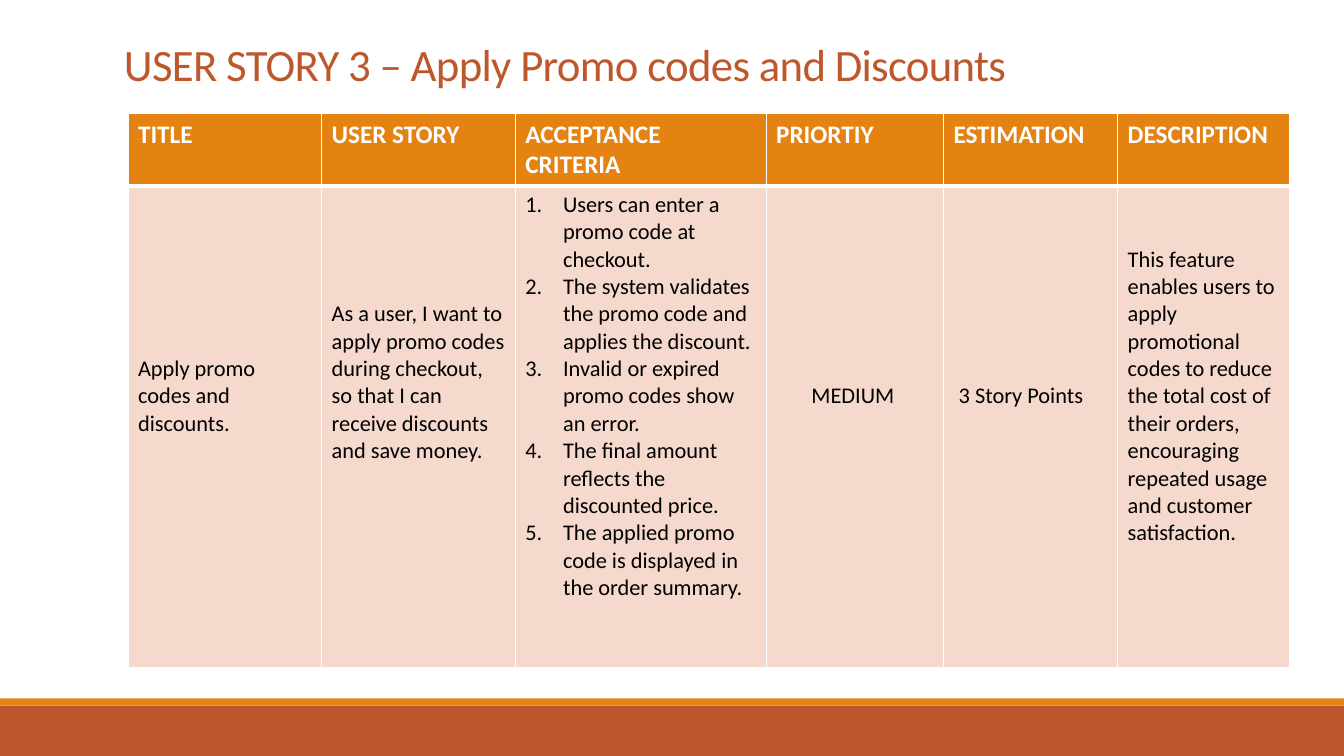
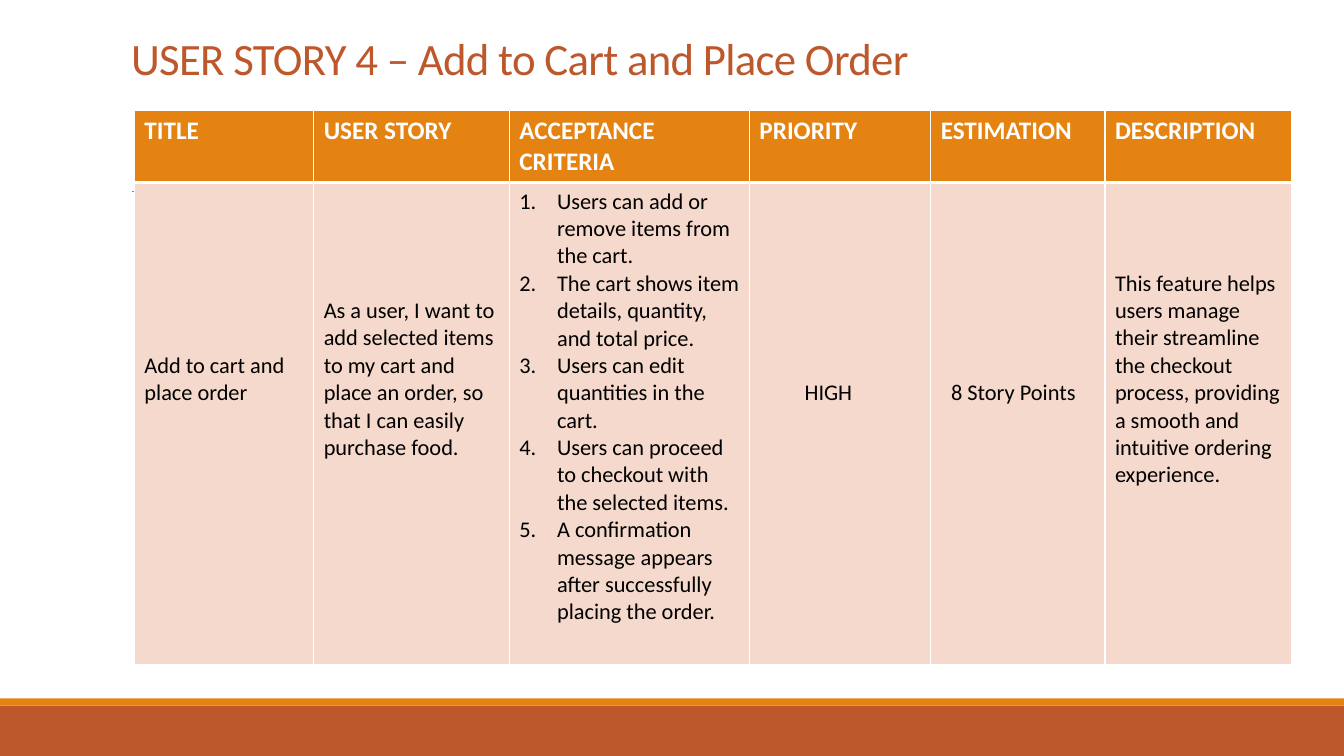
from dataclasses import dataclass

from lxml import etree
from pptx import Presentation
from pptx import util as u
from pptx.dml.color import RGBColor
from pptx.enum import shapes, text
from pptx.oxml import ns


@dataclass(frozen=True)
class Theme:
    font: str = "Calibri"
    rust: str = "BD582C"
    orange: str = "E48312"
    blush: str = "F5D9CC"
    rule: str = "808080"
    white: str = "FFFFFF"
    black: str = "000000"
    title_size: int = 32
    header_size: int = 18
    body_size: int = 16


@dataclass(frozen=True)
class Cell:
    """Body cell: its text, lines left free above it, and extra indent in cm."""
    text: str
    lines_above: int = 0
    indent: float = 0
    numbered: bool = False


@dataclass(frozen=True)
class Story:
    title: str
    title_box: tuple  # left, top, width, height in cm
    table_at: tuple  # left, top in cm
    columns: tuple  # widths in cm
    headers: tuple
    cells: tuple


THEME = Theme()
SLIDE_WIDTH, SLIDE_HEIGHT = 33.87, 19.05
ROW_HEIGHTS = (1.8, 12.14)
CELL_MARGIN_X, CELL_MARGIN_Y = 0.25, 0.13
BODY_LINE = 0.69
LIST_INDENT = 0.95

STORIES = (
    Story(
        title="USER STORY 3 – Apply Promo codes and Discounts",
        title_box=(2.87, 0.97, 28.12, 1.45),
        table_at=(3.23, 2.87),
        columns=(4.88, 4.88, 6.32, 4.47, 4.39, 4.34),
        headers=("TITLE", "USER STORY", "ACCEPTANCE CRITERIA",
                 "PRIORTIY", "ESTIMATION", "DESCRIPTION"),
        cells=(
            Cell("Apply promo codes and discounts.", 6),
            Cell("As a user, I want to apply promo codes during checkout, "
                 "so that I can receive discounts and save money.", 4),
            Cell("Users can enter a promo code at checkout.\n"
                 "The system validates the promo code and applies the discount.\n"
                 "Invalid or expired promo codes show an error.\n"
                 "The final amount reflects the discounted price.\n"
                 "The applied promo code is displayed in the order summary.",
                 numbered=True),
            Cell("MEDIUM", 7, indent=0.89),
            Cell("3 Story Points", 7, indent=0.13),
            Cell("This feature enables users to apply promotional codes to reduce "
                 "the total cost of their orders, encouraging repeated usage and "
                 "customer satisfaction.", 2),
        ),
    ),
    Story(
        title="USER STORY 4 – Add to Cart and Place Order",
        title_box=(3.05, 0.79, 27.94, 1.47),
        table_at=(3.39, 2.79),
        columns=(4.52, 4.93, 6.05, 4.57, 4.39, 4.7),
        headers=("TITLE", "USER STORY", "ACCEPTANCE CRITERIA",
                 "PRIORITY", "ESTIMATION", "DESCRIPTION"),
        cells=(
            Cell("Add to cart and place order", 6),
            Cell("As a user, I want to add selected items to my cart and place "
                 "an order, so that I can easily purchase food.", 4),
            Cell("Users can add or remove items from the cart.\n"
                 "The cart shows item details, quantity, and total price.\n"
                 "Users can edit quantities in the cart.\n"
                 "Users can proceed to checkout with the selected items.\n"
                 "A confirmation message appears after successfully placing the order.",
                 numbered=True),
            Cell("HIGH", 7, indent=1.14),
            Cell("8 Story Points", 7, indent=0.26),
            Cell("This feature helps users manage their streamline the checkout "
                 "process, providing a smooth and intuitive ordering experience.", 3),
        ),
    ),
)


def color(value):
    return RGBColor.from_string(value)


def format_runs(paragraph, size, value, bold=False):
    for run in paragraph.runs:
        run.font.name = THEME.font
        run.font.size = u.Pt(size)
        run.font.bold = bold
        run.font.color.rgb = color(value)


def add_band(slide, top, height, fill):
    band = slide.shapes.add_shape(
        shapes.MSO_SHAPE.RECTANGLE, 0, u.Cm(top), u.Cm(SLIDE_WIDTH), u.Cm(height))
    band.shadow.inherit = False
    band.fill.solid()
    band.fill.fore_color.rgb = color(fill)
    band.line.fill.background()
    return band


def add_rule(slide, left, right, top):
    rule = slide.shapes.add_connector(
        shapes.MSO_CONNECTOR.STRAIGHT, u.Cm(left), u.Cm(top), u.Cm(right), u.Cm(top))
    rule.line.color.rgb = color(THEME.rule)
    rule.line.width = u.Pt(0.5)
    etree.SubElement(rule.element.spPr, ns.qn("a:effectLst"))
    return rule


def furnish_layout(layout, slide):
    """Give the layout the bands and rule, drawn on a slide and moved over."""
    for placeholder in list(layout.placeholders):
        if placeholder.placeholder_format.idx != 0:
            layout.shapes.element.remove(placeholder.element)
    parts = (
        add_band(slide, 17.78, 1.27, THEME.rust),
        add_band(slide, 17.6, 0.18, THEME.orange),
        add_rule(slide, 3.33, 31.01, 4.83),
    )
    for part in parts:
        layout.shapes.element.append(part.element)


def place_title(slide, title_text, box):
    title = slide.shapes.title
    title.left, title.top, title.width, title.height = map(u.Cm, box)
    frame = title.text_frame
    frame.text = title_text
    frame.word_wrap = True
    frame.auto_size = text.MSO_AUTO_SIZE.NONE
    frame.vertical_anchor = text.MSO_ANCHOR.BOTTOM
    paragraph = frame.paragraphs[0]
    paragraph.alignment = text.PP_ALIGN.LEFT
    paragraph.line_spacing = 0.85
    format_runs(paragraph, THEME.title_size, THEME.rust)
    for run in paragraph.runs:
        run.font._element.set("spc", "-50")


def set_borders(cell, **widths):
    """Draw white cell borders; widths in points by side (L, R, T, B)."""
    properties = cell._tc.get_or_add_tcPr()
    for side in "LRTB":
        line = etree.SubElement(properties, ns.qn(f"a:ln{side}"),
                                w=str(u.Pt(widths.get(side, 1))))
        fill = etree.SubElement(line, ns.qn("a:solidFill"))
        etree.SubElement(fill, ns.qn("a:srgbClr"), val=THEME.white)


def number_paragraph(paragraph):
    properties = paragraph._p.get_or_add_pPr()
    indent = u.Cm(LIST_INDENT)
    properties.set("marL", str(indent))
    properties.set("indent", str(-indent))
    etree.SubElement(properties, ns.qn("a:buFont"), typeface="+mj-lt")
    etree.SubElement(properties, ns.qn("a:buAutoNum"), type="arabicPeriod")


def fill_cell(cell, content, fill, size, value, bold=False):
    cell.fill.solid()
    cell.fill.fore_color.rgb = color(fill)
    cell.vertical_anchor = text.MSO_ANCHOR.TOP
    cell.margin_left = u.Cm(CELL_MARGIN_X + content.indent)
    cell.margin_right = u.Cm(CELL_MARGIN_X)
    cell.margin_top = u.Cm(CELL_MARGIN_Y + content.lines_above * BODY_LINE)
    cell.margin_bottom = u.Cm(CELL_MARGIN_Y)
    cell.text_frame.text = content.text
    for paragraph in cell.text_frame.paragraphs:
        format_runs(paragraph, size, value, bold)
        if content.numbered:
            number_paragraph(paragraph)


def add_story_table(slide, story):
    left, top = story.table_at
    table = slide.shapes.add_table(
        len(ROW_HEIGHTS), len(story.columns), u.Cm(left), u.Cm(top),
        u.Cm(sum(story.columns)), u.Cm(sum(ROW_HEIGHTS))).table
    table.horz_banding = False
    for row, height in zip(table.rows, ROW_HEIGHTS):
        row.height = u.Cm(height)
    for index, width in enumerate(story.columns):
        table.columns[index].width = u.Cm(width)
        # Header cell
        header = table.cell(0, index)
        set_borders(header, B=3)
        fill_cell(header, Cell(story.headers[index]), THEME.orange,
                  THEME.header_size, THEME.white, bold=True)
        # Body cell
        body = table.cell(1, index)
        set_borders(body, T=3)
        fill_cell(body, story.cells[index], THEME.blush,
                  THEME.body_size, THEME.black)


def main():
    presentation = Presentation()
    presentation.slide_width = u.Cm(SLIDE_WIDTH)
    presentation.slide_height = u.Cm(SLIDE_HEIGHT)
    layout = presentation.slide_layouts.get_by_name("Title Only")
    slides = [presentation.slides.add_slide(layout) for _ in STORIES]
    furnish_layout(layout, slides[0])
    for slide, story in zip(slides, STORIES):
        place_title(slide, story.title, story.title_box)
        add_story_table(slide, story)
    presentation.save("out.pptx")


if __name__ == "__main__":
    main()
